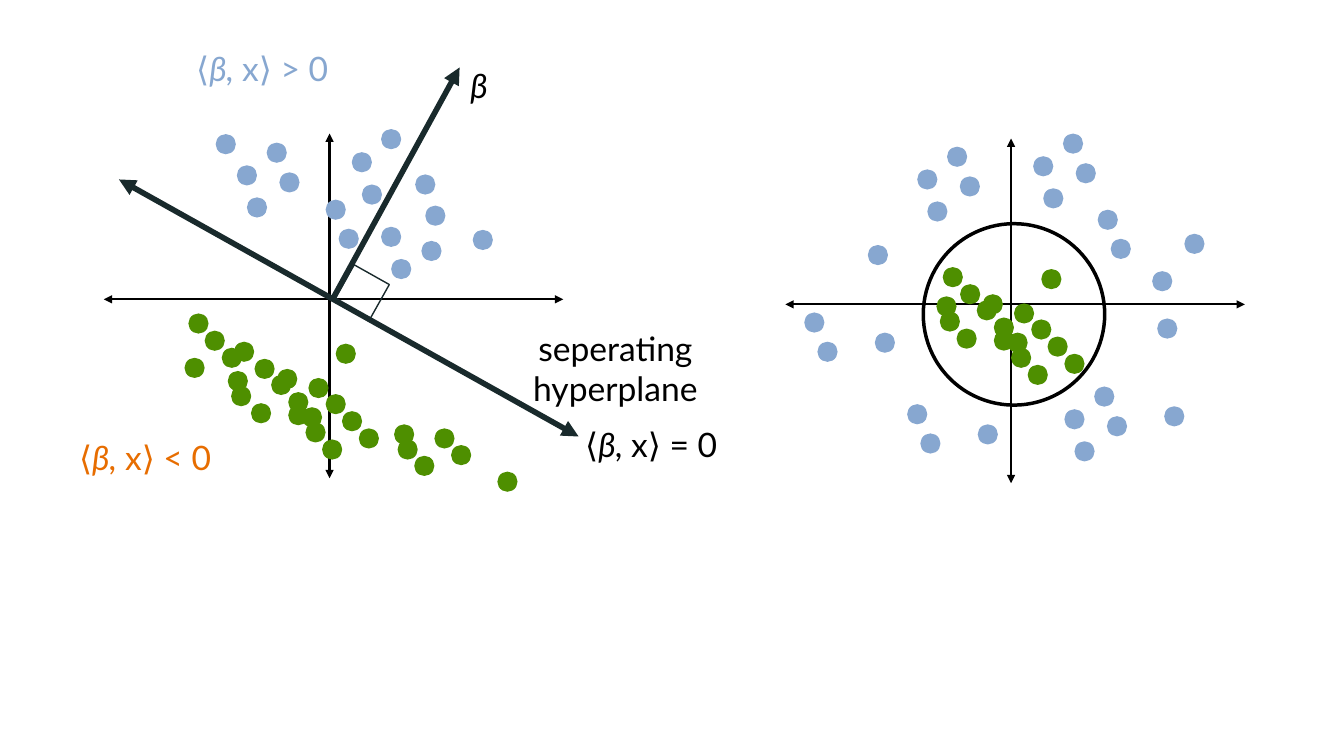
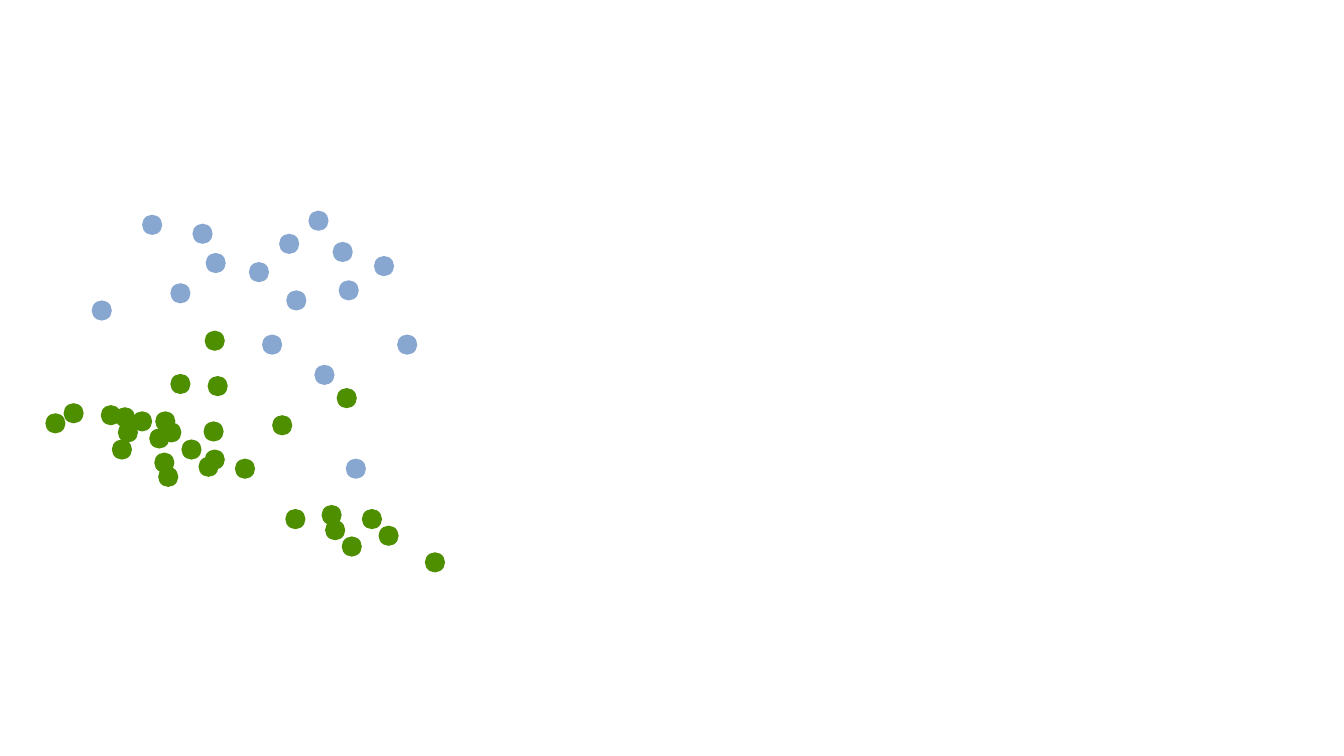
from dataclasses import dataclass
from typing import NamedTuple

from lxml.etree import SubElement
from pptx import Presentation
from pptx.dml.color import RGBColor
from pptx.enum.shapes import MSO_CONNECTOR, MSO_SHAPE
from pptx.enum.text import MSO_AUTO_SIZE, PP_ALIGN
from pptx.oxml.ns import qn
from pptx.slide import Slide
from pptx.util import Pt


@dataclass(frozen=True)
class Theme:
    positive: RGBColor = RGBColor(0x87, 0xA7, 0xD0)
    negative: RGBColor = RGBColor(0x4E, 0x8F, 0x00)
    negative_label: RGBColor = RGBColor(0xE7, 0x6D, 0x00)
    vector: RGBColor = RGBColor(0x19, 0x2A, 0x2C)
    ink: RGBColor = RGBColor(0, 0, 0)
    font: str = "Lato"
    label_size: float = 24
    axis_width: float = 1.5
    vector_width: float = 4
    dot_size: float = 14.4


class Point(NamedTuple):
    x: float
    y: float


class Box(NamedTuple):
    left: float
    top: float
    width: float
    height: float


class Term(NamedTuple):
    text: str
    italic: bool = False


@dataclass(frozen=True)
class Cluster:
    color: RGBColor
    dots: tuple[tuple[float, float], ...]
    origin: Point = Point(0, 0)


@dataclass(frozen=True)
class Label:
    box: Box
    color: RGBColor
    terms: tuple[Term, ...]


THEME = Theme()

QUAD = ((0, 0), (30.4, 5), (7.2, 22.9), (21.3, -16.2))
TRIO = ((0, 0), (-9.4, -20.9), (41, -6.5))
CORE = (
    (18.7, 18), (26.6, 43.9), (41, 24.5), (60.5, 0), (38.9, 56.2),
    (53.3, 36), (36.4, 45.4), (50.8, 68.4), (65, 48.2), (77, 60.5),
    (2.5, 10.8), (0, 42.5), (14.4, 22.3), (26.6, 34.6),
)
EDGE = ((4.5, 0), (2.4, 31.7), (0, 20.9))
TAIL = ((2.5, 10.8), (0, 0), (14.4, 22.5), (28.8, 2.9), (40.7, 14.8), (73.8, 33.8))

LINEAR_CLUSTERS = (
    Cluster(THEME.positive, QUAD, Point(169.2, 118.1)),
    Cluster(THEME.positive, (
        (154.1, 95.8), (251.3, 108.7), (258.5, 131.8), (272.2, 92.2),
        (241.9, 163.4), (337.7, 164.2), (232.6, 142.6), (301, 172.1),
        (272.2, 162), (279.4, 185), (296.6, 124.6), (303.8, 146.9),
    )),
    Cluster(THEME.negative, CORE, Point(179.3, 245.5)),
    Cluster(THEME.negative, EDGE, Point(162.7, 244.1)),
    Cluster(THEME.negative, TAIL, Point(281.5, 303.1)),
    Cluster(THEME.negative, (
        (134.6, 223.9), (131.8, 255.6), (146.2, 236.2), (158.4, 248.4),
    )),
)

CIRCULAR_CLUSTERS = (
    Cluster(THEME.negative, CORE, Point(683.3, 192.2)),
    Cluster(THEME.negative, EDGE, Point(668.9, 190.8)),
    Cluster(THEME.positive, QUAD, Point(655.2, 121)),
    Cluster(THEME.positive, QUAD, Point(738, 111.6)),
    Cluster(THEME.positive, QUAD, Point(760.3, 292.3)),
    Cluster(THEME.positive, TRIO, Point(583.9, 244.1)),
    Cluster(THEME.positive, TRIO, Point(657.4, 309.6)),
    Cluster(THEME.positive, (
        (831.6, 290.2), (846, 167), (793.4, 170.6), (823, 193.7),
        (784.1, 149.8), (826.6, 227.5), (619.9, 175),
    )),
)

MIXED_CLUSTERS = (
    Cluster(THEME.positive, (
        (101.5, 153.4), (65.5, 214.6), (146.9, 180.7), (121.7, 202.3),
        (137.5, 159.8), (199.4, 167), (204.5, 207.4), (220.3, 150.5),
        (187.2, 239), (283.7, 239), (177.8, 187.2), (267.1, 182.9),
        (237.6, 172.8), (224.6, 260.6), (241.9, 200.2), (247, 327.6),
    )),
    Cluster(THEME.negative, (
        (146.2, 321.1), (72, 289.4), (167.8, 327.6), (194.4, 296.6),
        (84.2, 301.7), (148.3, 268.6), (82.1, 290.9), (145.4, 301),
        (110.9, 293.8), (203.8, 363.6), (115.2, 301.7), (129.6, 313.9),
        (113, 333.4), (240.5, 277.2), (141.8, 326.2), (110.2, 323.3),
        (45.4, 288), (146.2, 236.2), (121.7, 267.1), (32.4, 295.2),
        (79.9, 313.9), (94.3, 293.8), (106.6, 306),
    )),
    Cluster(THEME.negative, TAIL, Point(229.7, 360.7)),
)


def inner_product(left: float, top: float, color: RGBColor, relation: str) -> Label:
    terms = (Term("⟨"), Term("β, ", True), Term(f"x⟩ {relation} 0"))
    return Label(Box(left, top, 110.9, 36), color, terms)


LABELS = (
    Label(Box(362.9, 230.4, 153.4, 65.5), THEME.ink, (Term("seperating hyperplane"),)),
    Label(Box(321.8, 42.5, 41, 36), THEME.ink, (Term("β", True),)),
    inner_product(131.8, 31, THEME.positive, ">"),
    inner_product(48.2, 308.9, THEME.negative_label, "<"),
    inner_product(409.7, 299.5, THEME.ink, "="),
)


def draw_clusters(slide: Slide, clusters: tuple[Cluster, ...]) -> None:
    for cluster in clusters:
        for x, y in cluster.dots:
            dot = slide.shapes.add_shape(
                MSO_SHAPE.OVAL, Pt(cluster.origin.x + x), Pt(cluster.origin.y + y),
                Pt(THEME.dot_size), Pt(THEME.dot_size),
            )
            dot.shadow.inherit = False
            dot.fill.solid()
            dot.fill.fore_color.rgb = cluster.color
            dot.line.fill.background()


def draw_arrow(slide: Slide, start: Point, end: Point, color: RGBColor,
               width: float, both_ends: bool = True) -> None:
    arrow = slide.shapes.add_connector(
        MSO_CONNECTOR.STRAIGHT, Pt(start.x), Pt(start.y), Pt(end.x), Pt(end.y)
    )
    arrow.line.color.rgb = color
    arrow.line.width = Pt(width)
    properties = arrow.line._get_or_add_ln()
    for tag in ("a:headEnd", "a:tailEnd") if both_ends else ("a:tailEnd",):
        SubElement(properties, qn(tag), type="triangle")
    SubElement(arrow._element.spPr, qn("a:effectLst"))


def draw_axes(slide: Slide, center: Point) -> None:
    x, y = center
    for start, end in (
        (Point(x, y + 127.8), Point(x, y - 118.4)),
        (Point(x - 161.2, y), Point(x + 167, y)),
    ):
        draw_arrow(slide, start, end, THEME.ink, THEME.axis_width)


def draw_outline(slide: Slide, preset: MSO_SHAPE, box: Box, color: RGBColor,
                 width: float, rotation: float = 0) -> None:
    outline = slide.shapes.add_shape(preset, *(Pt(length) for length in box))
    outline.shadow.inherit = False
    outline.fill.background()
    outline.line.color.rgb = color
    outline.line.width = Pt(width)
    outline.rotation = rotation


def draw_label(slide: Slide, label: Label) -> None:
    frame = slide.shapes.add_textbox(*(Pt(length) for length in label.box)).text_frame
    frame.word_wrap = True
    frame.auto_size = MSO_AUTO_SIZE.SHAPE_TO_FIT_TEXT
    paragraph = frame.paragraphs[0]
    paragraph.alignment = PP_ALIGN.CENTER
    for term in label.terms:
        run = paragraph.add_run()
        run.text = term.text
        run.font.name = THEME.font
        run.font.size = Pt(THEME.label_size)
        run.font.italic = term.italic
        run.font.color.rgb = label.color


def build_boundaries(slide: Slide) -> None:
    draw_axes(slide, Point(722.2, 217.4))
    draw_clusters(slide, CIRCULAR_CLUSTERS)
    draw_outline(slide, MSO_SHAPE.OVAL, Box(659.5, 159.8, 129.6, 129.6), THEME.ink, 2.5)
    draw_axes(slide, Point(235.4, 213.8))
    draw_clusters(slide, LINEAR_CLUSTERS)
    draw_arrow(slide, Point(85, 128.2), Point(413.3, 311.8),
               THEME.vector, THEME.vector_width)
    draw_arrow(slide, Point(238.3, 212.4), Point(328.3, 48.2),
               THEME.vector, THEME.vector_width, both_ends=False)
    draw_outline(slide, MSO_SHAPE.RECTANGLE, Box(244.1, 194.4, 28.8, 28.8),
                 THEME.vector, 1, 29.3)
    for label in LABELS:
        draw_label(slide, label)


def main() -> None:
    presentation = Presentation()
    presentation.slide_width = Pt(960)
    presentation.slide_height = Pt(540)
    blank = presentation.slide_layouts[6]
    build_boundaries(presentation.slides.add_slide(blank))
    draw_clusters(presentation.slides.add_slide(blank), MIXED_CLUSTERS)
    presentation.save("out.pptx")


if __name__ == "__main__":
    main()
